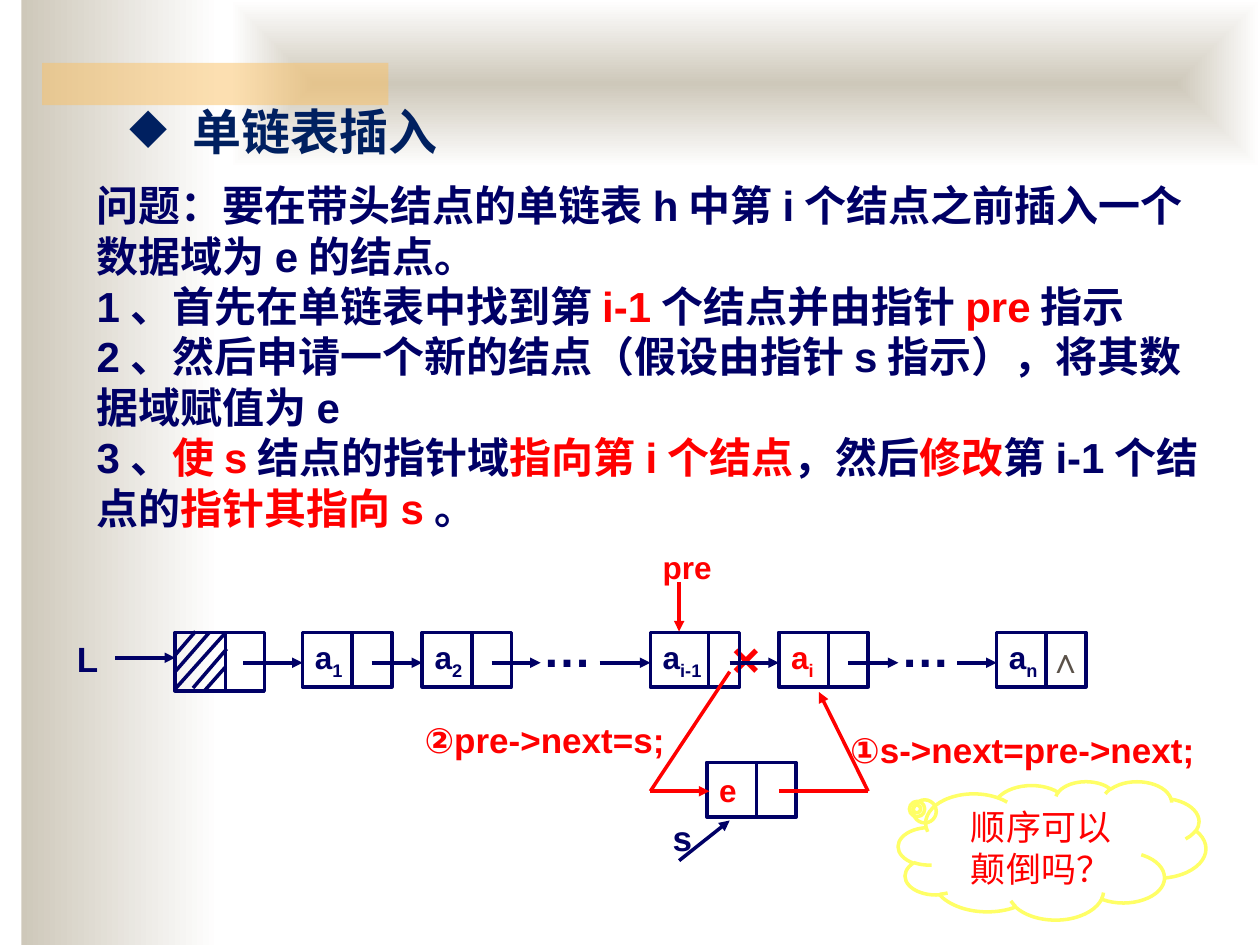
from lxml import etree
from pptx import Presentation
from pptx import util as u
from pptx.dml.color import RGBColor
from pptx.enum import shapes, text
from pptx.oxml import ns

NAVY = RGBColor(0x00, 0x00, 0x66)
TITLE_BLUE = RGBColor(0x00, 0x20, 0x60)
RED = RGBColor(0xFF, 0x00, 0x00)
BEIGE = RGBColor(0xCE, 0xC8, 0xBA)
WHITE = RGBColor(0xFF, 0xFF, 0xFF)
ORANGE = RGBColor(0xFA, 0xC1, 0x64)
YELLOW = RGBColor(0xFF, 0xFF, 0x66)
GREY = RGBColor(0x5B, 0x52, 0x49)
CJK = "Noto Sans CJK SC"
NODE_W, NODE_H = 1.8, 1.1


def sub(parent, tag, **attributes):
    """Append a DrawingML element and return it."""
    return etree.SubElement(parent, ns.qn("a:" + tag), attributes)


def add_run(paragraph, words, color, size, latin="Arial", bold=True, base=None):
    """Add one formatted run to a paragraph."""
    run = paragraph.add_run()
    run.text = words
    run.font.color.rgb = color
    for name, value in {"size": u.Pt(size), "bold": bold, "name": latin}.items():
        setattr(run.font, name, value)
    properties = run.font._element
    sub(properties, "ea", typeface=CJK)
    if base:
        properties.set("baseline", str(base))


def label(slide, left, top, width, height, words, color=NAVY, size=20, wrap=False, **font):
    """Place a one-paragraph text box and return its paragraph."""
    box = slide.shapes.add_textbox(*map(u.Cm, (left, top, width, height)))
    box.text_frame.word_wrap = wrap
    paragraph = box.text_frame.paragraphs[0]
    add_run(paragraph, words, color, size, **font)
    return paragraph


def block(slide, kind, left, top, width, height, line=None):
    """Place a preset shape without fill or shadow."""
    shape = slide.shapes.add_shape(kind, *map(u.Cm, (left, top, width, height)))
    shape.shadow.inherit = False
    shape.fill.background()
    if line is None:
        shape.line.fill.background()
    else:
        shape.line.color.rgb = line
        shape.line.width = u.Pt(2)
    return shape


def link(slide, x1, y1, x2, y2, color=NAVY, arrow=False):
    """Draw a straight line, with an arrowhead at its end if asked."""
    line = slide.shapes.add_connector(
        shapes.MSO_CONNECTOR.STRAIGHT, *map(u.Cm, (x1, y1, x2, y2)))
    line.line.color.rgb = color
    line.line.width = u.Pt(2)
    if arrow:
        sub(line.line._get_or_add_ln(), "tailEnd", type="triangle")
    sub(line._element.spPr, "effectLst")


def backdrop(slide):
    """Draw the two gradient bands and the orange bar."""
    rect = shapes.MSO_SHAPE.RECTANGLE
    side = block(slide, rect, 0.43, 0, 4.01, 19.05)
    header = block(slide, rect, 4.65, 0, 20.75, 3.38)
    for band in (side, header):
        band.fill.gradient()
        band.fill.gradient_angle = 0
        for stop, color, position in zip(band.fill.gradient_stops, (BEIGE, WHITE), (0, 1)):
            stop.color.rgb = color
            stop.position = position
    gradient = header._element.spPr.find(ns.qn("a:gradFill"))
    gradient.remove(gradient.find(ns.qn("a:lin")))
    center = dict.fromkeys("ltrb", "50000")
    sub(sub(gradient, "path", path="shape"), "fillToRect", **center)

    bar = block(slide, rect, 0.85, 1.27, 6.98, 0.85)
    bar.fill.solid()
    bar.fill.fore_color.rgb = ORANGE
    sub(next(bar._element.spPr.iter(ns.qn("a:srgbClr"))), "alpha", val="50000")


def heading(slide, left, top):
    """Place the bulleted title."""
    title = label(slide, left, top, 8.53, 1.45, "单链表插入", TITLE_BLUE, 28, True, latin=CJK)
    properties = title._p.get_or_add_pPr()
    for name, value in {"marL": 457200, "indent": -457200}.items():
        properties.set(name, str(value))
    sub(properties, "buChar", char="◆")


def explanation(slide, left, top, width, height):
    """Write the problem and its steps; odd pieces of a paragraph are red."""
    steps = (
        ("问题：要在带头结点的单链表h中第i个结点之前插入一个",),
        ("数据域为e的结点。",),
        ("1、首先在单链表中找到第", "i-1", "个结点并由指针", "pre", "指示"),
        ("2、然后申请一个新的结点（假设由指针s指示），将其数据域赋值为e",),
        ("3、", "使s", "结点的指针域", "指向第i个结点", "，然后", "修改",
         "第i-1个结点的", "指针其指向s", "。"),
    )
    frame = slide.shapes.add_textbox(*map(u.Cm, (left, top, width, height))).text_frame
    frame.word_wrap = True
    for number, pieces in enumerate(steps):
        paragraph = frame.add_paragraph() if number else frame.paragraphs[0]
        for index, piece in enumerate(pieces):
            add_run(paragraph, piece, RED if index % 2 else NAVY, 24)


def node(slide, left, top, letter, index="", color=NAVY, split=1.0):
    """Draw a list node with its data field and pointer field."""
    frame = block(slide, shapes.MSO_SHAPE.RECTANGLE, left, top, NODE_W, NODE_H, NAVY).text_frame
    frame.vertical_anchor = text.MSO_ANCHOR.MIDDLE
    frame.word_wrap = True
    paragraph = frame.paragraphs[0]
    paragraph.alignment = text.PP_ALIGN.LEFT
    add_run(paragraph, letter, color, 18)
    if index:
        add_run(paragraph, index, color, 18, base=-25000)
    link(slide, left + split, top, left + split, top + NODE_H)


def head_node(slide, left, top):
    """Draw the hatched head node with its pointer L."""
    height = 1.18
    label(slide, left - 2.23, top - 0.02, 0.94, 1.09, "L")
    link(slide, left - 1.21, top + 0.51, left, top + 0.51, arrow=True)
    block(slide, shapes.MSO_SHAPE.RECTANGLE, left, top, NODE_W, height, NAVY)
    link(slide, left + 1.02, top, left + 1.02, top + height)
    for x1, y1, x2, y2 in ((0.41, -0.02, -0.02, 0.48), (0.69, 0, 0, 0.79), (1.02, 0, 0, 1.14),
                           (1.04, 0.33, 0.36, 1.12), (1.02, 0.69, 0.58, 1.19)):
        link(slide, left + x1, top + y1, left + x2, top + y2)


def linked_list(slide, left, top):
    """Draw the chain of nodes from the head to the last one."""
    label(slide, left + 10.97, top - 0.2, 1.5, 1.45, "×", RED, 28)
    head_node(slide, left, top)
    for x, index, color, split in ((2.57, "1", NAVY, 1.0), (4.98, "2", NAVY, 1.0),
                                   (9.58, "i-1", NAVY, 1.17), (12.17, "i", RED, 1.0),
                                   (16.56, "n", NAVY, 1.0)):
        node(slide, left + x, top, "a", index, color, split)
    for start, end in ((1.37, 2.57), (3.96, 4.98), (6.38, 7.37), (8.56, 9.58),
                       (11.18, 12.17), (13.56, 14.58), (15.77, 16.56)):
        link(slide, left + start, top + 0.61, left + end, top + 0.61, arrow=True)
    for x in (7.16, 14.38):
        label(slide, left + x, top - 0.41, 1.5, 1.45, "…", size=28)
    label(slide, left + 17.35, top, 1.22, 1.09, "∧", GREY, latin="Times New Roman", bold=False)
    label(slide, left + 9.58, top - 1.83, 1.5, 1.02, "pre", RED, 18)
    link(slide, left + 10.16, top - 1.02, left + 10.16, top - 0.02, RED, True)


def insertion(slide, left, top):
    """Draw the new node s and the two numbered pointer changes."""
    label(slide, left - 0.94, top + 0.96, 0.91, 1.09, "s")
    link(slide, left - 0.56, top + 1.98, left + 0.46, top + 1.17, arrow=True)
    node(slide, left, top, "e", color=RED)
    for x1, y1, x2, y2, arrow in ((1.45, 0.58, 3.25, 0.58, False), (3.25, 0.58, 2.26, -1.42, True),
                                  (0.46, -1.83, -1.14, 0.58, False), (-1.14, 0.58, 0.05, 0.58, True)):
        link(slide, left + x1, top + y1, left + x2, top + y2, RED, arrow)
    label(slide, left + 2.64, top - 0.81, 7.54, 1.09, "①s->next=pre->next;", RED)
    label(slide, left - 5.94, top - 1.02, 5.44, 1.09, "②pre->next=s;", RED)


def question(slide, left, top, width, height):
    """Place the cloud that asks about the order."""
    cloud = block(slide, shapes.MSO_SHAPE.CLOUD_CALLOUT, left, top, width, height, YELLOW)
    for index, value in enumerate((-0.44, -0.3)):
        cloud.adjustments[index] = value
    frame = cloud.text_frame
    frame.word_wrap = True
    frame.vertical_anchor = text.MSO_ANCHOR.MIDDLE
    for paragraph, words in zip((frame.paragraphs[0], frame.add_paragraph()),
                                ("顺序可以", "颠倒吗？")):
        paragraph.alignment = text.PP_ALIGN.CENTER
        add_run(paragraph, words, RED, 20, "Times New Roman", False)


def build():
    """Build and save the slide."""
    deck = Presentation()
    deck.slide_width, deck.slide_height = u.Cm(25.4), u.Cm(19.05)
    slide = deck.slides.add_slide(deck.slide_layouts[6])
    backdrop(slide)
    heading(slide, 2.36, 1.93)
    explanation(slide, 1.7, 3.5, 23.19, 7.44)
    linked_list(slide, 3.53, 12.75)
    insertion(slide, 14.25, 15.37)
    question(slide, 18.11, 15.75, 6.2, 2.79)
    deck.save("out.pptx")


build()
